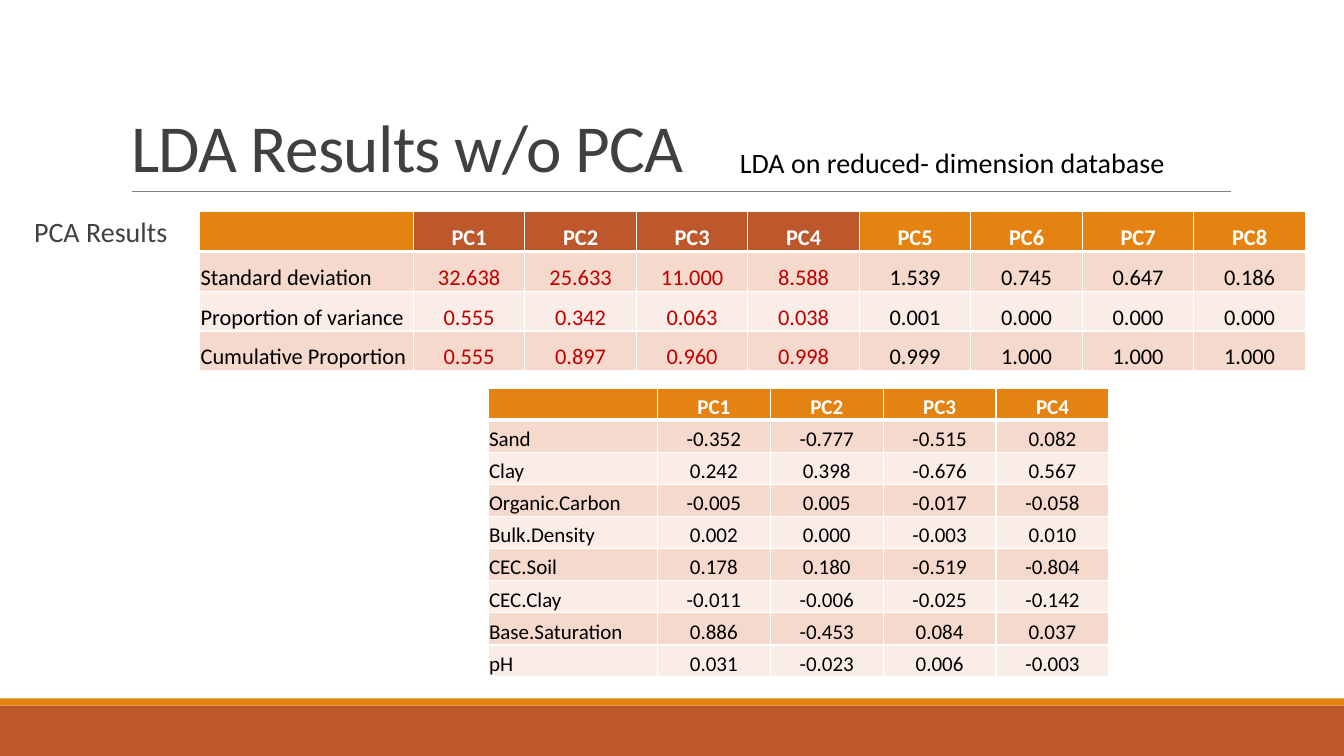
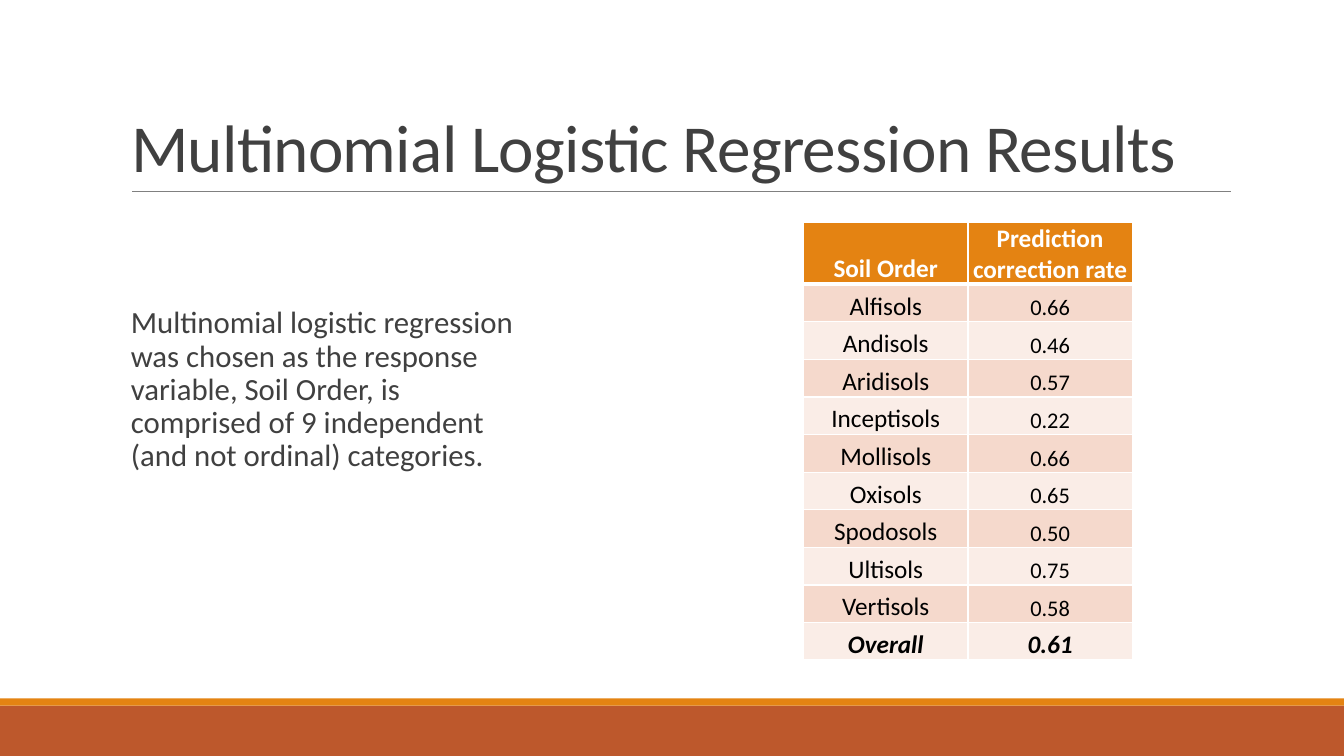
from dataclasses import dataclass

from lxml.etree import SubElement
from pptx import Presentation
from pptx.dml.color import RGBColor
from pptx.enum.shapes import MSO_CONNECTOR, MSO_SHAPE
from pptx.enum.text import MSO_ANCHOR, MSO_AUTO_SIZE, PP_ALIGN
from pptx.oxml.ns import qn
from pptx.util import Inches, Pt


@dataclass(frozen=True)
class Theme:
    font: str = "Calibri"
    rust: str = "BD582C"
    orange: str = "E48312"
    rule: str = "808080"
    heading: str = "404040"
    ink: str = "000000"
    white: str = "FFFFFF"
    highlight: str = "C00000"
    bands: tuple = ("F5D9CC", "FAEDE7")
    title_size: int = 48
    body_size: int = 22
    note_size: int = 20
    large_size: int = 18
    table_size: int = 16
    compact_size: int = 15


def color(value):
    return RGBColor.from_string(value)


class SlideBuilder:
    def __init__(self, deck, theme):
        self.deck = deck
        self.theme = theme
        self.page = None

    def start(self, title):
        """Add a slide with its title, footer bands and title rule."""
        self.page = self.deck.slides.add_slide(self.deck.slide_layouts[5])
        self.band(7, 0.5, self.theme.rust)
        self.band(6.93, 0.07, self.theme.orange)
        self.title_rule()
        self.title(title)

    def band(self, top, height, fill):
        shape = self.page.shapes.add_shape(
            MSO_SHAPE.RECTANGLE, 0, Inches(top), self.deck.slide_width, Inches(height))
        shape.shadow.inherit = False
        shape.fill.solid()
        shape.fill.fore_color.rgb = color(fill)
        shape.line.fill.background()

    def title_rule(self):
        line = self.page.shapes.add_connector(
            MSO_CONNECTOR.STRAIGHT, Inches(1.31), Inches(1.9), Inches(12.21), Inches(1.9))
        line.line.color.rgb = color(self.theme.rule)
        line.line.width = Pt(0.5)
        SubElement(line.element.spPr, qn("a:effectLst"))

    def title(self, text):
        box = self.page.shapes.title
        box.left, box.top = Inches(1.2), Inches(0.31)
        box.width, box.height = Inches(11), Inches(1.59)
        frame = box.text_frame
        frame.auto_size = MSO_AUTO_SIZE.NONE
        frame.word_wrap = True
        frame.vertical_anchor = MSO_ANCHOR.BOTTOM
        para = frame.paragraphs[0]
        para.alignment = PP_ALIGN.LEFT
        para.line_spacing = 0.85
        span = self.span(para, text, self.theme.title_size, self.theme.heading)
        span.font._element.set("spc", "-50")

    def span(self, para, text, size, ink, bold=False, italic=False):
        span = para.add_run()
        span.text = text
        span.font.name = self.theme.font
        span.font.size = Pt(size)
        span.font.color.rgb = color(ink)
        span.font.bold = bold
        span.font.italic = italic
        return span

    def text(self, text, left, top, width, height, size, ink, spacing=1.0, wrap=True):
        box = self.page.shapes.add_textbox(
            Inches(left), Inches(top), Inches(width), Inches(height))
        frame = box.text_frame
        frame.word_wrap = wrap
        frame.margin_right = 0 if wrap else Inches(0.1)
        para = frame.paragraphs[0]
        para.line_spacing = spacing
        self.span(para, text, size, ink)

    def table(self, rows, left, top, widths, height, size, value_size=None,
              header_height=None, label_align=PP_ALIGN.LEFT, highlighted=(), total=False):
        """Draw a banded table; highlighted columns get a rust header and red values."""
        theme = self.theme
        table = self.page.shapes.add_table(
            len(rows), len(widths), Inches(left), Inches(top),
            Inches(sum(widths)), Inches(height)).table
        table.first_row = table.horz_banding = False
        for column, width in zip(table.columns, widths):
            column.width = Inches(width)
        header_height = header_height or height / len(rows)
        row_height = (height - header_height) / (len(rows) - 1)
        for r, values in enumerate(rows):
            is_header = r == 0
            is_total = total and r == len(rows) - 1
            table.rows[r].height = Inches(header_height if is_header else row_height)
            for c, value in enumerate(values):
                marked = c in highlighted
                if is_header:
                    fill = theme.rust if marked else theme.orange
                    ink = theme.white
                else:
                    fill = theme.bands[(r - 1) % 2]
                    ink = theme.highlight if marked else theme.ink
                cell = table.cell(r, c)
                self.cell_frame(cell, fill, 3 if r == 1 else 1, 3 if is_header else 1)
                para = cell.text_frame.paragraphs[0]
                para.alignment = PP_ALIGN.CENTER if c or is_header else label_align
                if value:
                    plain_value = c > 0 and not is_header and not is_total
                    cell_size = value_size if value_size and plain_value else size
                    self.span(para, value, cell_size, ink, is_header or is_total, is_total)

    def cell_frame(self, cell, fill, top_line, bottom_line):
        cell.vertical_anchor = MSO_ANCHOR.BOTTOM
        cell.margin_left = cell.margin_right = cell.margin_top = Inches(0.01)
        cell.margin_bottom = 0
        properties = cell._tc.get_or_add_tcPr()
        for side, width in (("L", 1), ("R", 1), ("T", top_line), ("B", bottom_line)):
            line = SubElement(properties, qn(f"a:ln{side}"), w=str(Pt(width)))
            paint = SubElement(line, qn("a:solidFill"))
            SubElement(paint, qn("a:srgbClr"), val=self.theme.white)
        cell.fill.solid()
        cell.fill.fore_color.rgb = color(fill)


VARIANCE = [
    ["", "PC1", "PC2", "PC3", "PC4", "PC5", "PC6", "PC7", "PC8"],
    ["Standard deviation", "32.638", "25.633", "11.000", "8.588",
     "1.539", "0.745", "0.647", "0.186"],
    ["Proportion of variance", "0.555", "0.342", "0.063", "0.038",
     "0.001", "0.000", "0.000", "0.000"],
    ["Cumulative Proportion", "0.555", "0.897", "0.960", "0.998",
     "0.999", "1.000", "1.000", "1.000"],
]
LOADINGS = [
    ["", "PC1", "PC2", "PC3", "PC4"],
    ["Sand", "-0.352", "-0.777", "-0.515", "0.082"],
    ["Clay", "0.242", "0.398", "-0.676", "0.567"],
    ["Organic.Carbon", "-0.005", "0.005", "-0.017", "-0.058"],
    ["Bulk.Density", "0.002", "0.000", "-0.003", "0.010"],
    ["CEC.Soil", "0.178", "0.180", "-0.519", "-0.804"],
    ["CEC.Clay", "-0.011", "-0.006", "-0.025", "-0.142"],
    ["Base.Saturation", "0.886", "-0.453", "0.084", "0.037"],
    ["pH", "0.031", "-0.023", "0.006", "-0.003"],
]
PREDICTION_RATES = [
    ["Soil Order", "Prediction correction rate"],
    ["Alfisols", "0.66"],
    ["Andisols", "0.46"],
    ["Aridisols", "0.57"],
    ["Inceptisols", "0.22"],
    ["Mollisols", "0.66"],
    ["Oxisols", "0.65"],
    ["Spodosols", "0.50"],
    ["Ultisols", "0.75"],
    ["Vertisols", "0.58"],
    ["Overall", "0.61"],
]


def lda_slide(builder):
    theme = builder.theme
    builder.start("LDA Results w/o PCA")
    builder.text("PCA Results", 0.24, 2.12, 1.7, 0.44,
                 theme.note_size, theme.heading, spacing=0.9)
    builder.text("LDA on reduced- dimension database", 7.24, 1.39, 4.5, 0.44,
                 theme.note_size, theme.ink, wrap=False)
    builder.table(VARIANCE, 1.98, 2.1, [2.12] + [1.106] * 8, 1.58,
                  theme.table_size, highlighted=range(1, 5))
    builder.table(LOADINGS, 4.84, 3.85, [1.68] + [1.12] * 4, 2.87, theme.compact_size)


def regression_slide(builder):
    theme = builder.theme
    builder.start("Multinomial Logistic Regression Results")
    builder.text("Multinomial logistic regression was chosen as the response variable, "
                 "Soil Order, is comprised of 9 independent (and not ordinal) categories.",
                 1.2, 3, 3.93, 1.91, theme.body_size, theme.heading, spacing=0.9)
    builder.table(PREDICTION_RATES, 7.97, 2.21, [1.63] * 2, 4.34, theme.large_size,
                  value_size=theme.table_size, header_height=0.61,
                  label_align=PP_ALIGN.CENTER, total=True)


def main():
    deck = Presentation()
    deck.slide_width, deck.slide_height = Inches(13.33), Inches(7.5)
    builder = SlideBuilder(deck, Theme())
    lda_slide(builder)
    regression_slide(builder)
    deck.save("out.pptx")


if __name__ == "__main__":
    main()
